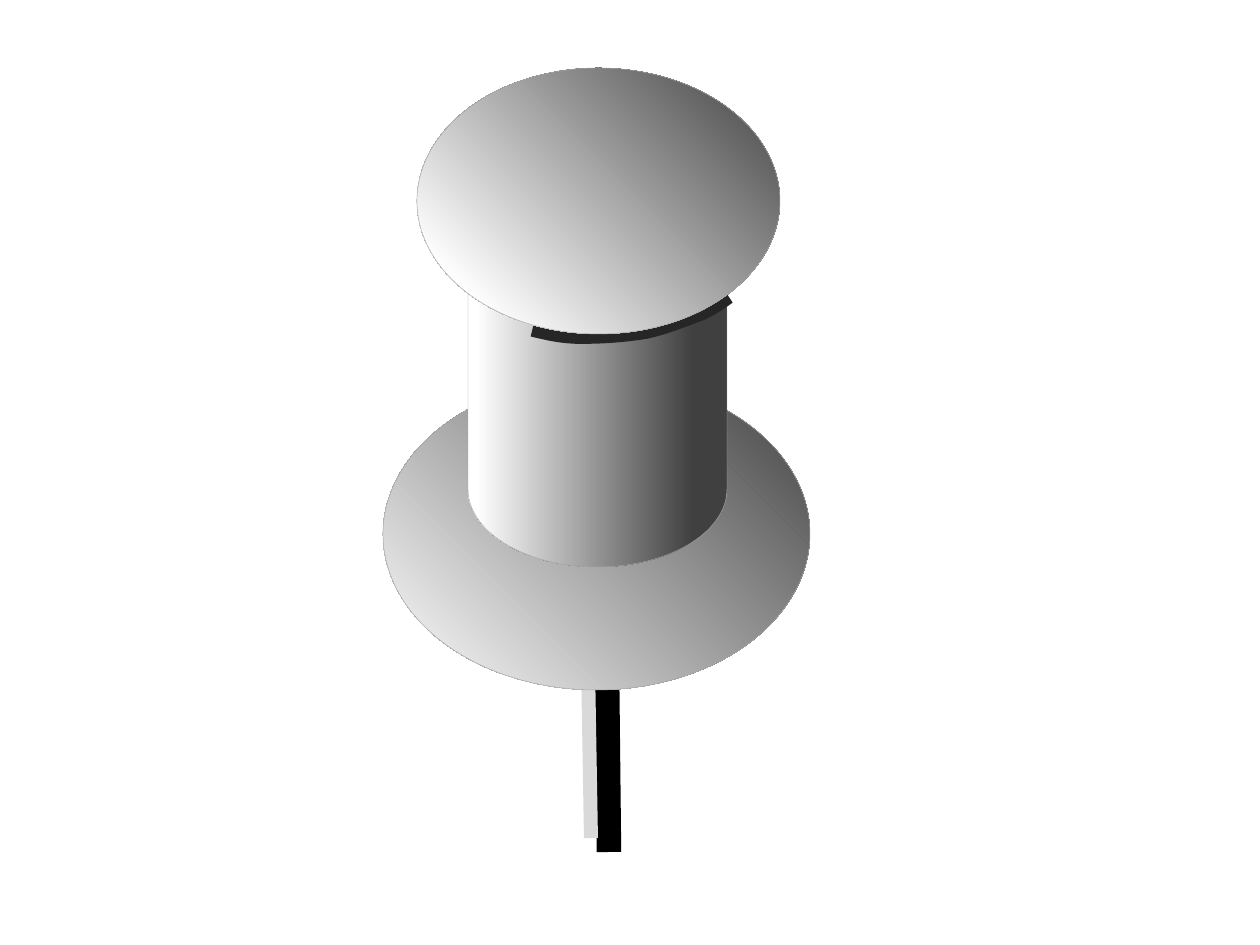
import pptx
import pptx.util
import pptx.dml.color
import pptx.enum.shapes
import pptx.oxml
import pptx.oxml.ns

SCALE = 914400 / 126
SHAPES = pptx.enum.shapes.MSO_SHAPE
THEME = {
    "needle": "000000", "glint": "D9D9D9", "shade": "262626", "edge": "A6A6A6",
    "dark": "404040", "light": "FFFFFF", "pale": "F2F2F2", "edge_width": 0.25,
}
NEEDLE = [
    ((607, 667), (609, 852), "needle", 14),
    ((588, 662), (591, 838), "glint", 8),
]
BASE = (SHAPES.FLOWCHART_CONNECTOR, (383, 378, 427, 312), [(7, "pale"), (100, "dark")], True)
BARREL = (SHAPES.FLOWCHART_MAGNETIC_DISK, (468, 100, 259, 467), [(13, "dark"), (97, "light")], False)
HEAD = (SHAPES.FLOWCHART_CONNECTOR, (417, 68, 363, 266), [(14, "light"), (100, "dark")], True)
SHADE_START = (534, 323)
SHADE_CURVES = [
    ((547, 326), (562, 330), (581, 330)),
    ((598, 330), (622, 329), (645, 325)),
    ((664, 321), (685, 312), (699, 307)),
    ((712, 301), (725, 291), (725, 291)),
]
SHADE_WIDTH = 16
CURVE_STEPS = 8


def emu(pixels):
    return round(pixels * SCALE)


def color(name):
    return pptx.dml.color.RGBColor.from_string(THEME[name])


def set_line(item, name, width):
    item.line.color.rgb = color(name)
    item.line.width = pptx.util.Pt(width)


def add_needle(page, start, end, name, width):
    line = page.shapes.add_connector(
        pptx.enum.shapes.MSO_CONNECTOR.STRAIGHT, *map(emu, start + end))
    set_line(line, name, width)
    pptx.oxml.ns.qn("a:effectLst")
    line._element.spPr.append(pptx.oxml.parse_xml(
        f'<a:effectLst {pptx.oxml.ns.nsdecls("a")}/>'))


def add_body(page, kind, place, stops, radial):
    body = page.shapes.add_shape(kind, *map(emu, place))
    body.shadow.inherit = False
    set_line(body, "edge", THEME["edge_width"])
    body.fill.gradient()
    body.fill.gradient_angle = 180
    for stop, (position, name) in zip(body.fill.gradient_stops, stops):
        stop.position = position / 100
        stop.color.rgb = color(name)
    if radial:
        linear = body._element.spPr.find(".//" + pptx.oxml.ns.qn("a:lin"))
        linear.getparent().replace(linear, pptx.oxml.parse_xml(
            f'<a:path {pptx.oxml.ns.nsdecls("a")} path="circle">'
            '<a:fillToRect t="100000" r="100000"/></a:path>'))


def curve_points(start, curves):
    for first, second, end in curves:
        for step in range(1, CURVE_STEPS + 1):
            t = step / CURVE_STEPS
            yield tuple(
                emu((1 - t) ** 3 * a + 3 * (1 - t) ** 2 * t * b
                    + 3 * (1 - t) * t ** 2 * c + t ** 3 * d)
                for a, b, c, d in zip(start, first, second, end))
        start = end


def add_shade(page):
    builder = page.shapes.build_freeform(*map(emu, SHADE_START), scale=1.0)
    builder.add_line_segments(list(curve_points(SHADE_START, SHADE_CURVES)), close=False)
    shade = builder.convert_to_shape()
    shade.shadow.inherit = False
    shade.fill.background()
    set_line(shade, "shade", SHADE_WIDTH)


deck = pptx.Presentation()
deck.slide_width, deck.slide_height = emu(1260), emu(945)
page = deck.slides.add_slide(deck.slide_layouts[6])
for needle in NEEDLE:
    add_needle(page, *needle)
add_body(page, *BASE)
add_body(page, *BARREL)
add_shade(page)
add_body(page, *HEAD)
deck.save("out.pptx")
